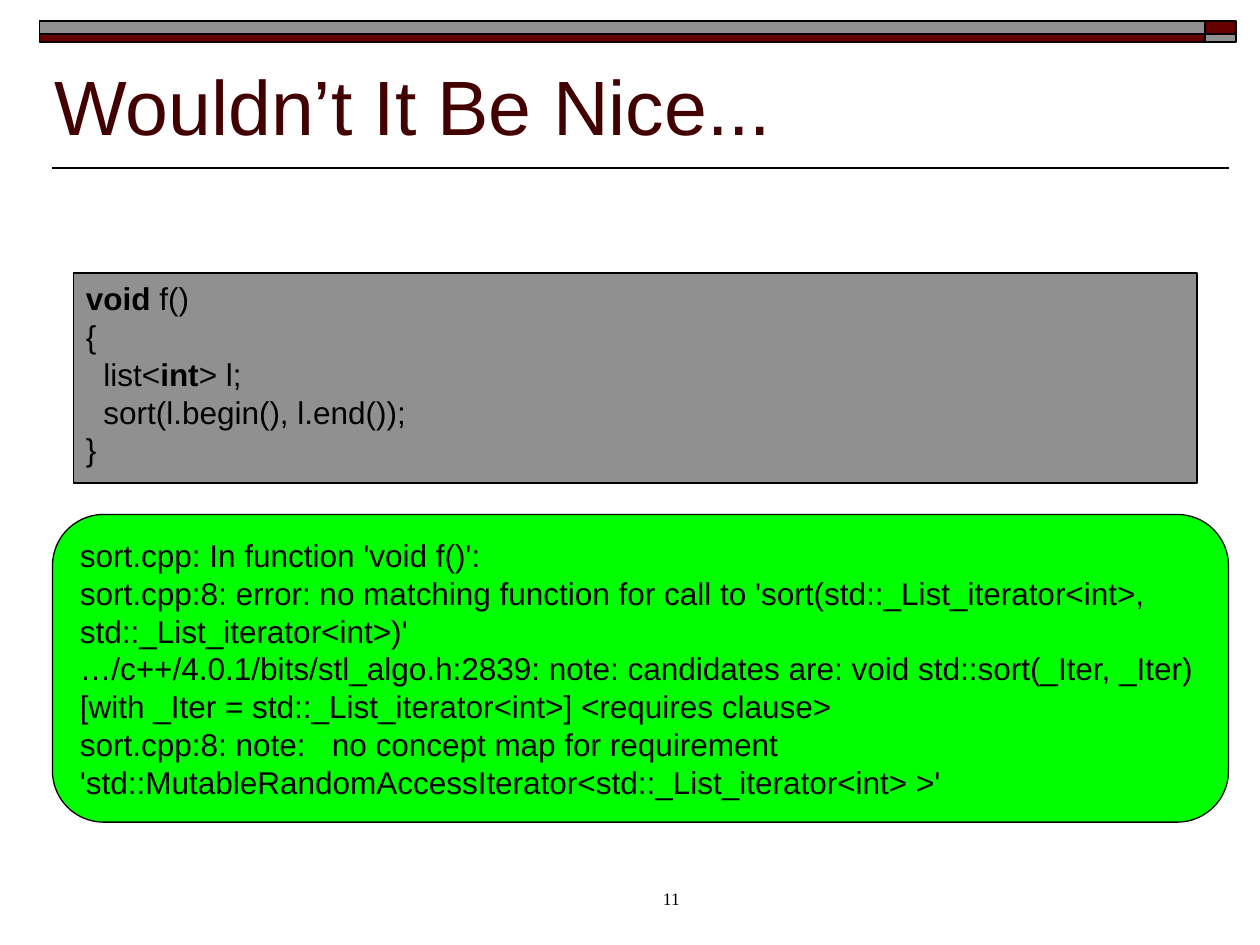
from dataclasses import dataclass

from lxml import etree
from pptx import Presentation, util as u
from pptx.dml.color import RGBColor
from pptx.enum import shapes, text
from pptx.oxml.ns import qn

COLS, ROWS = 120, 90


@dataclass(frozen=True)
class Theme:
    black: str = "000000"
    maroon: str = "660000"
    gray: str = "909090"
    green: str = "00FF00"
    title: str = "420000"
    sans: str = "Arial"
    serif: str = "Times New Roman"
    title_size: int = 44
    body_size: int = 18
    number_size: int = 10


@dataclass(frozen=True)
class Box:
    """A rectangle in grid columns and rows."""
    col: float
    row: float
    cols: float
    rows: float


@dataclass(frozen=True)
class Run:
    text: str
    bold: bool = False


@dataclass(frozen=True)
class Style:
    size: int
    color: str
    font: str
    anchor: text.MSO_ANCHOR = text.MSO_ANCHOR.TOP
    align: text.PP_ALIGN = text.PP_ALIGN.LEFT


T = Theme()
prs = Presentation()
prs.slide_width, prs.slide_height = u.Inches(10), u.Inches(7.5)
s = prs.slides.add_slide(prs.slide_layouts[6])


def x(col: float) -> int:
    return round(prs.slide_width * col / COLS)


def y(row: float) -> int:
    return round(prs.slide_height * row / ROWS)


def place(box: Box) -> tuple[int, int, int, int]:
    return x(box.col), y(box.row), x(box.cols), y(box.rows)


def add_panel(kind: shapes.MSO_SHAPE, box: Box, fill: str, width: float):
    sp = s.shapes.add_shape(kind, *place(box))
    sp.shadow.inherit = False
    sp.fill.solid()
    sp.fill.fore_color.rgb = RGBColor.from_string(fill)
    sp.line.color.rgb = RGBColor.from_string(T.black)
    sp.line.width = u.Pt(width)
    return sp


def write(sp, lines: list[list[Run]], style: Style) -> None:
    tf = sp.text_frame
    tf.word_wrap = True
    tf.vertical_anchor = style.anchor
    for i, line in enumerate(lines):
        p = tf.add_paragraph() if i else tf.paragraphs[0]
        p.alignment = style.align
        for run in line:
            r = p.add_run()
            r.text = run.text
            r.font.name, r.font.size = style.font, u.Pt(style.size)
            r.font.bold = run.bold
            r.font.color.rgb = RGBColor.from_string(style.color)


def add_rule(start: float, end: float, row: float) -> None:
    line = s.shapes.add_connector(shapes.MSO_CONNECTOR.STRAIGHT,
                                  x(start), y(row), x(end), y(row))
    line.line.color.rgb = RGBColor.from_string(T.black)
    line.line.width = u.Pt(1)
    etree.SubElement(line._element.spPr, qn("a:effectLst"))


def add_banner() -> None:
    """Two-row band whose colours swap in the narrow last column."""
    columns = ((3.75, 111), (114.75, 3))
    rows = ((2, 1.25), (3.25, 0.75))
    for i, (row, height) in enumerate(rows):
        for j, (col, width) in enumerate(columns):
            fill = T.gray if i == j else T.maroon
            add_panel(shapes.MSO_SHAPE.RECTANGLE,
                      Box(col, row, width, height), fill, 1)


CODE = [
    [Run("void", True), Run(" f()")],
    [Run("{")],
    [Run("  list<"), Run("int", True), Run("> l;")],
    [Run("  sort(l.begin(), l.end());")],
    [Run("}")],
]
MESSAGES = [
    [Run("sort.cpp: In function 'void f()':")],
    [Run("sort.cpp:8: error: no matching function for call to "
         "'sort(std::_List_iterator<int>, std::_List_iterator<int>)'")],
    [Run("…/c++/4.0.1/bits/stl_algo.h:2839: note: candidates are: "
         "void std::sort(_Iter, _Iter) "
         "[with _Iter = std::_List_iterator<int>] <requires clause>")],
    [Run("sort.cpp:8: note:   no concept map for requirement "
         "'std::MutableRandomAccessIterator<std::_List_iterator<int> >'")],
]

add_rule(117, 5, 16)
add_banner()

title = s.shapes.add_textbox(*place(Box(4, 5, 114, 10)))
write(title, [[Run("Wouldn’t It Be Nice...")]],
      Style(T.title_size, T.title, T.sans, text.MSO_ANCHOR.BOTTOM))

code = add_panel(shapes.MSO_SHAPE.RECTANGLE, Box(7, 26, 107, 20), T.gray, 0.75)
write(code, CODE, Style(T.body_size, T.black, T.sans))

output = add_panel(shapes.MSO_SHAPE.ROUNDED_RECTANGLE,
                   Box(5, 49, 112, 29.3), T.green, 0.75)
write(output, MESSAGES,
      Style(T.body_size, T.black, T.sans, text.MSO_ANCHOR.MIDDLE))

number = s.shapes.add_textbox(*place(Box(50, 84, 25, 4)))
write(number, [[Run("11")]],
      Style(T.number_size, T.black, T.serif, align=text.PP_ALIGN.CENTER))
number.text_frame.paragraphs[0]._p.get_or_add_pPr().set(
    "marL", str(u.Inches(0.24)))

prs.save("out.pptx")
